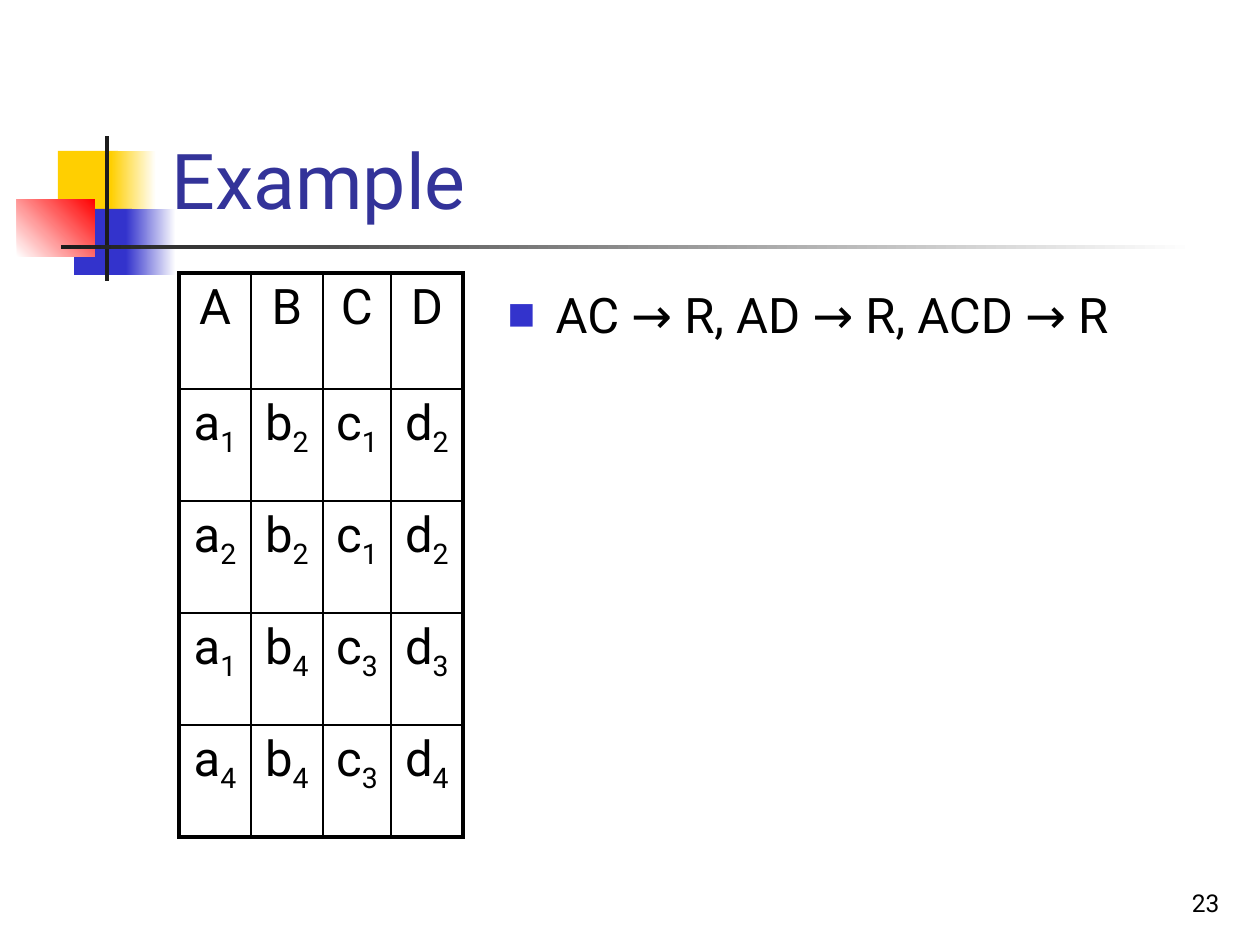
"""Build a slide on functional dependencies with a small relation table."""
from typing import NamedTuple, Optional

from lxml import etree
from pptx import Presentation
from pptx import util as u
from pptx.dml.color import RGBColor
from pptx.enum import shapes, text
from pptx.oxml.ns import qn

SCALE = 914400 / 126
FACE = "Roboto"
BLACK = RGBColor(0, 0, 0)
WHITE = RGBColor(255, 255, 255)
GOLD = RGBColor(0xFF, 0xCF, 0x01)
BLUE = RGBColor(0x33, 0x33, 0xCC)
RED = RGBColor(255, 0, 0)
DARK = RGBColor(0x1C, 0x1C, 0x1C)
NAVY = RGBColor(0x33, 0x33, 0x99)


class Box(NamedTuple):
    left: int
    top: int
    width: int
    height: int


class Block(NamedTuple):
    box: Box
    start: RGBColor
    end: Optional[RGBColor] = None
    angle: int = 0


BLOCKS = [
    Block(Box(58, 151, 60, 66), GOLD),
    Block(Box(111, 151, 45, 66), GOLD, WHITE),
    Block(Box(74, 209, 58, 66), BLUE),
    Block(Box(126, 209, 50, 66), BLUE, WHITE),
    Block(Box(17, 199, 78, 58), WHITE, RED, 45),
    Block(Box(105, 136, 4, 145), DARK),
    Block(Box(61, 245, 1134, 4), DARK, WHITE),
]
ROWS = ["A B C D", "a1 b2 c1 d2", "a2 b2 c1 d2", "a1 b4 c3 d3", "a4 b4 c3 d4"]
COLS = [72, 72, 68, 72]
HIGHS = [116, 112, 112, 112, 112]


def px(size: int) -> u.Emu:
    """Turn px into EMU."""
    return u.Emu(round(size * SCALE))


def place(shape, box: Box) -> None:
    """Move and size a shape."""
    shape.left, shape.top, shape.width, shape.height = map(px, box)


def style(run, size: int, color: RGBColor = BLACK) -> None:
    """Format one run."""
    run.font.name = FACE
    run.font.size = u.Pt(size)
    run.font.color.rgb = color


def write(shape, words: str, size: int, color: RGBColor = BLACK,
          anchor=text.MSO_ANCHOR.BOTTOM, align=text.PP_ALIGN.LEFT):
    """Fill a shape with one styled paragraph and return it."""
    frame = shape.text_frame
    frame.text = words
    frame.word_wrap = True
    frame.auto_size = text.MSO_AUTO_SIZE.NONE
    frame.vertical_anchor = anchor
    para = frame.paragraphs[0]
    para.alignment = align
    para.space_before = u.Pt(0)
    style(para.runs[0], size, color)
    return para


def paint(slide, block: Block) -> None:
    """Draw a plain or fading rectangle."""
    shape = slide.shapes.add_shape(shapes.MSO_SHAPE.RECTANGLE, *map(px, block.box))
    shape.shadow.inherit = False
    shape.line.fill.background()
    if block.end is None:
        shape.fill.solid()
        shape.fill.fore_color.rgb = block.start
        return
    shape.fill.gradient()
    shape.fill.gradient_angle = block.angle
    for stop, color, spot in zip(shape.fill.gradient_stops,
                                 (block.start, block.end), (0, 1)):
        stop.color.rgb = color
        stop.position = spot


def bullet(para, sign: str, indent: int, color: RGBColor, percent: int) -> None:
    """Give a paragraph a coloured bullet and hanging indent."""
    props = para._p.get_or_add_pPr()
    props.set("marL", str(px(indent)))
    props.set("indent", str(-px(indent)))
    tint = etree.SubElement(props, qn("a:buClr"))
    etree.SubElement(tint, qn("a:srgbClr"), val=str(color))
    etree.SubElement(props, qn("a:buSzPct"), val=str(percent * 1000))
    etree.SubElement(props, qn("a:buFont"), typeface=FACE)
    etree.SubElement(props, qn("a:buChar"), char=sign)


def edge(cell, outer: dict[str, bool]) -> None:
    """Draw the four borders of a cell, heavier on the outside."""
    props = cell._tc.get_or_add_tcPr()
    for spot, (side, heavy) in enumerate(outer.items()):
        line = etree.Element(qn(f"a:ln{side}"), w=str(u.Pt(2.25 if heavy else 1)))
        fill = etree.SubElement(line, qn("a:solidFill"))
        etree.SubElement(fill, qn("a:srgbClr"), val=str(BLACK))
        props.insert(spot, line)


def label(cell, words: str) -> None:
    """Write a letter and its subscript, if any, in a cell."""
    cell.margin_left = cell.margin_right = px(8)
    para = cell.text_frame.paragraphs[0]
    para.alignment = text.PP_ALIGN.CENTER
    for spot, sign in enumerate(words):
        run = para.add_run()
        run.text = sign
        style(run, 28)
        if spot:
            run._r.get_or_add_rPr().set("baseline", "-25000")


def grid(slide, box: Box) -> None:
    """Draw the relation as a table."""
    table = slide.shapes.add_table(len(ROWS), len(COLS), *map(px, box)).table
    table.first_row = table.horz_banding = False
    for col, width in zip(table.columns, COLS):
        col.width = px(width)
    for row, height in zip(table.rows, HIGHS):
        row.height = px(height)
    for r, line in enumerate(ROWS):
        for c, words in enumerate(line.split()):
            cell = table.cell(r, c)
            cell.fill.background()
            label(cell, words)
            edge(cell, {"L": c == 0, "R": c == len(COLS) - 1,
                        "T": r == 0, "B": r == len(ROWS) - 1})


def main() -> None:
    """Build and save the slide."""
    deck = Presentation()
    deck.slide_width, deck.slide_height = px(1260), px(945)
    slide = deck.slides.add_slide(deck.slide_layouts[1])
    title, body = slide.placeholders
    for block in BLOCKS:
        paint(slide, block)

    num = slide.shapes.add_textbox(*map(px, Box(970, 861, 262, 63)))
    write(num, "23", 14, align=text.PP_ALIGN.RIGHT)

    place(title, Box(159, 29, 1073, 202))
    write(title, "Example", 44, NAVY)
    place(body, Box(495, 278, 740, 567))
    item = write(body, "AC → R, AD → R, ACD → R", 28, anchor=text.MSO_ANCHOR.TOP)
    bullet(item, "■", 48, BLUE, 60)
    for holder in (title, body):
        slide.shapes.element.append(holder.element)

    grid(slide, Box(179, 273, sum(COLS), sum(HIGHS)))
    deck.save("out.pptx")


if __name__ == "__main__":
    main()
